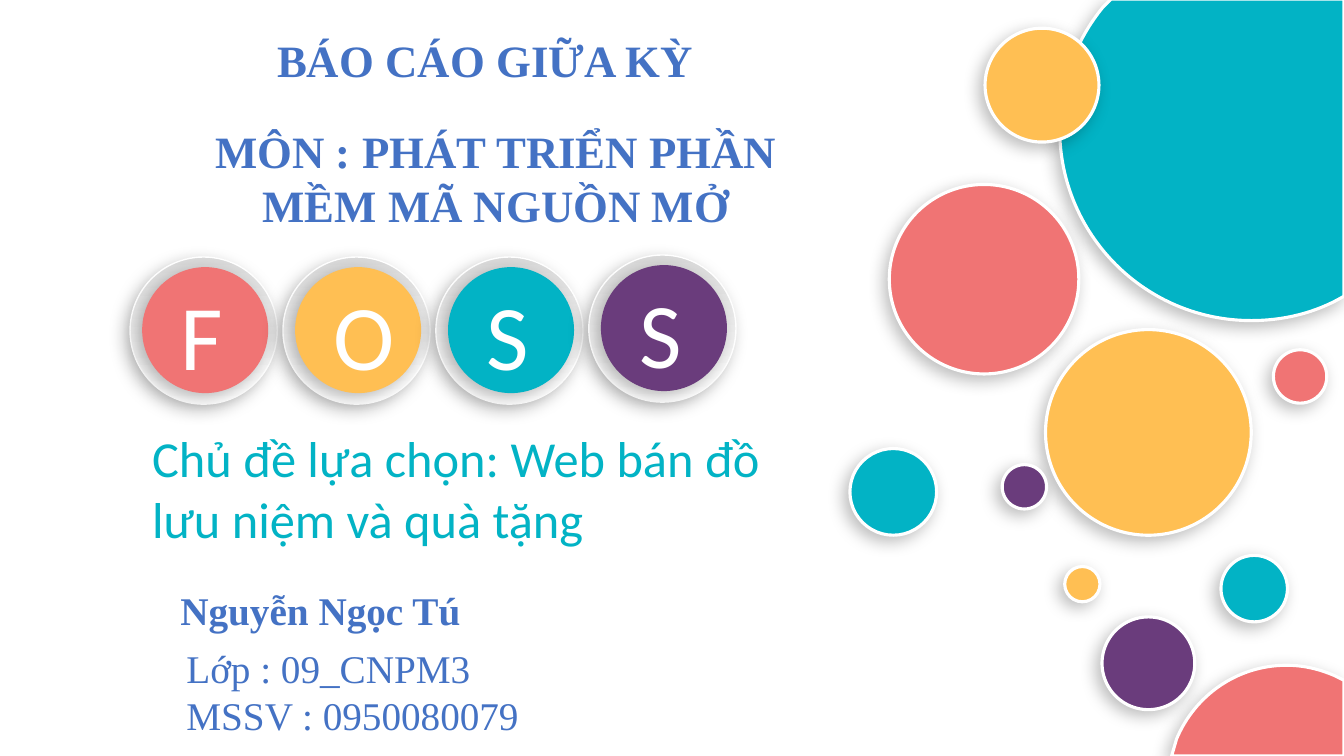
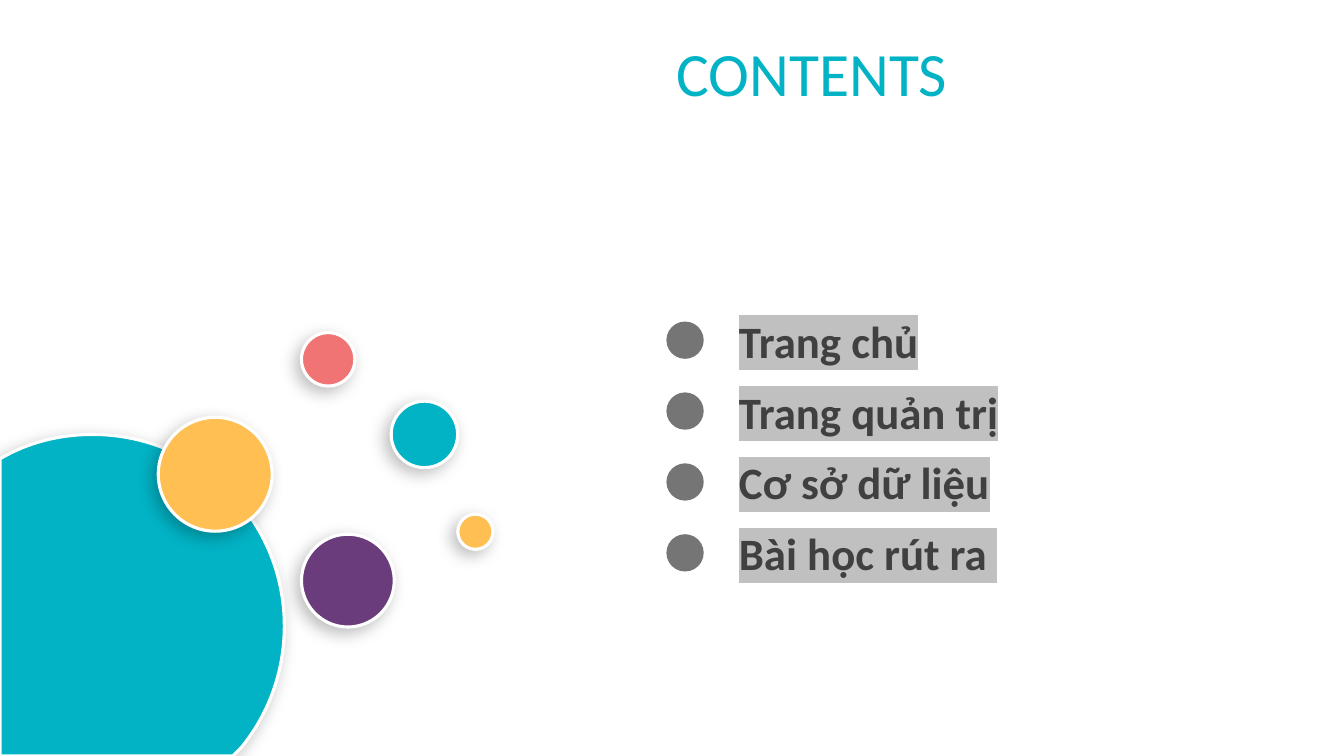
"""Build a two-slide report opening: a cover with circles and a contents list."""
from itertools import chain
from lxml import etree
from pptx import Presentation
from pptx.dml.color import RGBColor
from pptx.enum import shapes, text
from pptx.oxml import ns
from pptx.util import Inches, Pt

TEAL = RGBColor(0x02, 0xB3, 0xC5)
CORAL = RGBColor(0xF0, 0x74, 0x74)
AMBER = RGBColor(0xFF, 0xBF, 0x53)
PURPLE = RGBColor(0x6A, 0x3C, 0x7C)
BLUE = RGBColor(0x44, 0x72, 0xC4)
DARK = RGBColor(0x40, 0x40, 0x40)
SILVER = RGBColor(0xD9, 0xD9, 0xD9)
WHITE = RGBColor(0xFF, 0xFF, 0xFF)
SANS, SERIF = "Calibri", "Times New Roman"
SHADOW = (
    f'<a:outerShdw {ns.nsdecls("a")} blurRad="152400" dist="63500" dir="8100000" '
    'algn="tr" rotWithShape="0"><a:srgbClr val="000000"><a:alpha val="26000"/>'
    "</a:srgbClr></a:outerShdw>"
)
CORNER_DISC = [
    [(11.02, -0.01)],
    [(13.33, -0.01)],
    [(13.33, 2.94)],
    [(13.31, 2.95)],
    [(13.05, 3.1), (12.74, 3.18), (12.41, 3.18)],
    [(11.36, 3.18), (10.51, 2.33), (10.51, 1.28)],
    [(10.51, 0.82), (10.67, 0.4), (10.94, 0.07)],
]
BOTTOM_DISC = [
    [(12.76, 6.6)],
    [(12.93, 6.6), (13.09, 6.64), (13.23, 6.7)],
    [(13.33, 6.75)],
    [(13.33, 7.5)],
    [(11.62, 7.5)],
    [(11.67, 7.33)],
    [(11.85, 6.9), (12.27, 6.6), (12.76, 6.6)],
]


def add_disc(parent, x, y, size, color, line=2.25, shadow=True):
    """Add a circle of a diameter, or a cut one from line and curve steps."""
    if isinstance(size, list):
        points = [(Inches(px), Inches(py)) for px, py in chain(*size)]
        outline = parent.build_freeform(*points[0])
        outline.add_line_segments(points[1:])
        sp = outline.convert_to_shape()
        sp.left, sp.top = Inches(x), Inches(y)
        steps = iter(list(sp._element.spPr.iter(ns.qn("a:lnTo"))))
        for step in size[1:]:
            first, *others = [next(steps) for _ in step]
            if others:
                first.tag = ns.qn("a:cubicBezTo")
                for other in others:
                    first.append(other[0])
                    other.getparent().remove(other)
    else:
        sp = parent.add_shape(
            shapes.MSO_SHAPE.OVAL, Inches(x), Inches(y), Inches(size), Inches(size))
    sp.fill.solid()
    sp.fill.fore_color.rgb = color
    if line:
        sp.line.color.rgb = WHITE
        sp.line.width = Pt(line)
    else:
        sp.line.fill.background()
    sp.shadow.inherit = False
    if shadow:
        sp._element.spPr.find(ns.qn("a:effectLst")).append(etree.fromstring(SHADOW))
    return sp


def add_text(parent, box, content, size, color, font=SANS, bold=False,
             align=text.PP_ALIGN.LEFT, title=False):
    """Write text in a new box, or in the slide's title placeholder."""
    place = [Inches(v) for v in box]
    if title:
        sp = parent.title
        sp.left, sp.top, sp.width, sp.height = place
    else:
        sp = parent.add_textbox(*place)
    tf = sp.text_frame
    tf.text = content
    tf.word_wrap = True
    tf.auto_size = text.MSO_AUTO_SIZE.NONE
    tf.vertical_anchor = text.MSO_ANCHOR.TOP
    for p in tf.paragraphs:
        p.alignment = align
        p.font.name = font
        p.font.size = Pt(size)
        p.font.bold = bold
        p.font.color.rgb = color
    return sp


prs = Presentation()
prs.slide_width, prs.slide_height = Inches(13.33), Inches(7.5)
title_only = prs.slide_layouts[5]

s = prs.slides.add_slide(title_only)
for x, y, size, color in [
    (10.37, 3.27, 2.04, AMBER),
    (10.51, -0.01, CORNER_DISC, TEAL),
    (8.82, 1.83, 1.88, CORAL),
    (10.93, 6.12, 0.92, PURPLE),
    (12.11, 5.51, 0.66, TEAL),
    (11.62, 6.6, BOTTOM_DISC, CORAL),
    (9.77, 0.28, 1.13, AMBER),
    (12.63, 3.47, 0.53, CORAL),
    (10.56, 5.62, 0.35, AMBER),
    (8.43, 4.45, 0.86, TEAL),
    (9.94, 4.61, 0.44, PURPLE),
]:
    add_disc(s.shapes, x, y, size, color)

badges = [("F", CORAL, 2.55), ("O", AMBER, 2.55), ("S", TEAL, 2.55), ("S", PURPLE, 2.53)]
for i, (letter, color, y) in enumerate(badges):
    x = 1.29 + 4.55 * i / 3
    badge = s.shapes.add_group_shape().shapes
    ring = add_disc(badge, x, y, 1.46, WHITE, line=1)
    ring.fill.gradient()
    ring.fill.gradient_angle = 90
    for stop, tone, position in zip(ring.fill.gradient_stops, (WHITE, SILVER), (0, 1)):
        stop.color.rgb = tone
        stop.position = position
    add_disc(badge, x + 0.12, y + 0.1, 1.25, color, line=0)
    add_text(badge, (x + 0.4, y + 0.16, 0.77, 1.21), letter, 66, WHITE)

add_text(s.shapes, (1.41, 4.19, 6.65, 1.31),
         "Chủ đề lựa chọn: Web bán đồ lưu niệm và quà tặng", 36, TEAL)
add_text(s.shapes, (1.69, 5.77, 4.68, 0.57), "Nguyễn Ngọc Tú", 28, BLUE, SERIF, True)
add_text(s.shapes, (1.75, 6.34, 3.68, 1.04),
         "Lớp : 09_CNPM3\nMSSV : 0950080079", 28, BLUE, SERIF)
add_text(s.shapes, (1.19, 0.27, 7.24, 1.18), "BÁO CÁO GIỮA KỲ", 32, BLUE, SERIF, True,
         text.PP_ALIGN.CENTER, title=True)
add_text(s.shapes, (1.55, 1.18, 6.74, 1.18), "MÔN : PHÁT TRIỂN PHẦN MỀM MÃ NGUỒN MỞ",
         32, BLUE, SERIF, True, text.PP_ALIGN.CENTER)

s = prs.slides.add_slide(title_only)
add_disc(s.shapes, 0, 4.31, CORNER_DISC, TEAL).rotation = 180
for x, y, size, color in [
    (2.99, 5.3, 0.92, PURPLE),
    (3.88, 3.98, 0.66, TEAL),
    (1.57, 4.14, 1.13, AMBER),
    (2.99, 3.3, 0.53, CORAL),
    (4.54, 5.1, 0.35, AMBER),
]:
    add_disc(s.shapes, x, y, size, color)

add_text(s.shapes, (6.61, 0.3, 3.77, 0.84), "CONTENTS", 44, TEAL, title=True)
topics = ["Trang chủ", "Trang quản trị", "Cơ sở dữ liệu", "Bài học rút ra "]
for i, topic in enumerate(topics):
    y = 3.06 + 2.11 * i / 3
    sp = add_text(s.shapes, (7.23, y, 4.65, 0.64), topic, 32, DARK, bold=True)
    r = sp.text_frame.paragraphs[0].runs[0]
    highlight = etree.SubElement(r._r.get_or_add_rPr(), ns.qn("a:highlight"))
    etree.SubElement(highlight, ns.qn("a:srgbClr"), val="C0C0C0")
    dot = add_disc(s.shapes, 6.61, y + 0.13, 0.37, DARK, line=0, shadow=False)
    tone = dot._element.spPr.find(ns.qn("a:solidFill"))[0]
    etree.SubElement(tone, ns.qn("a:alpha"), val="72000")

prs.save("out.pptx")
